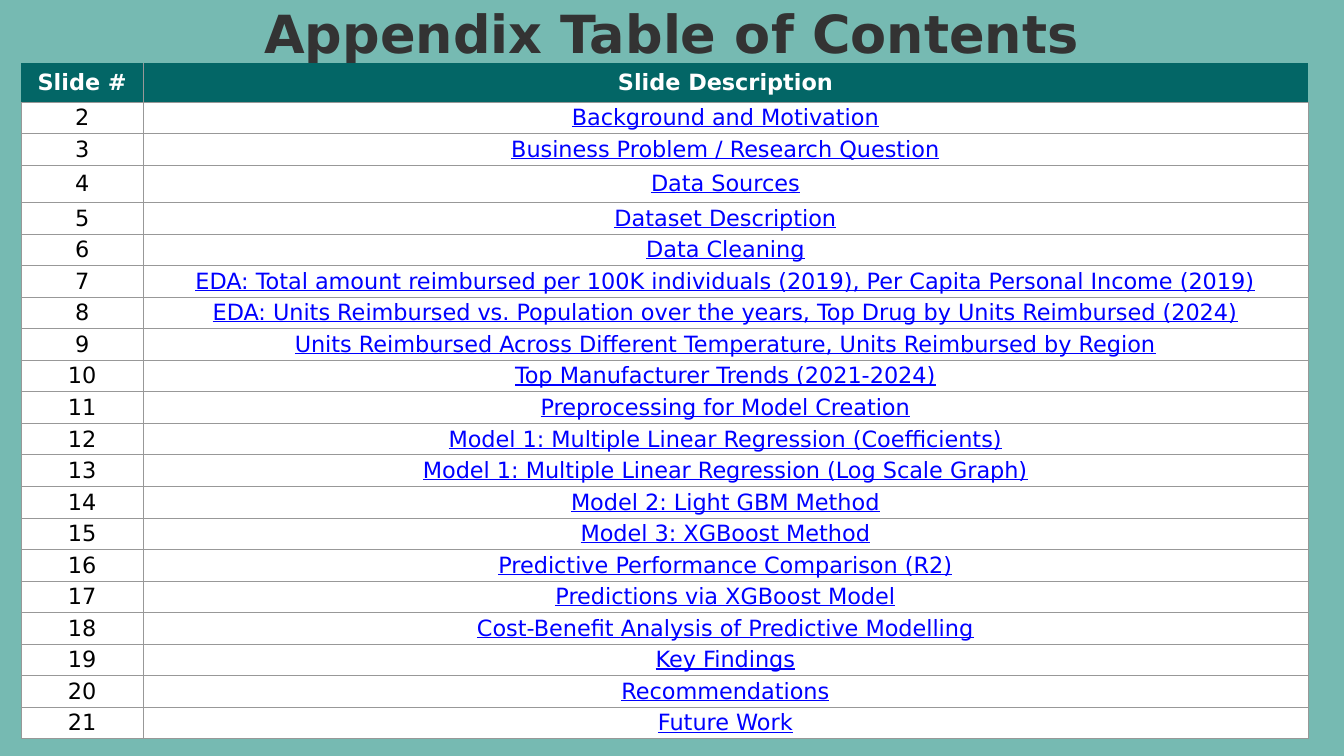
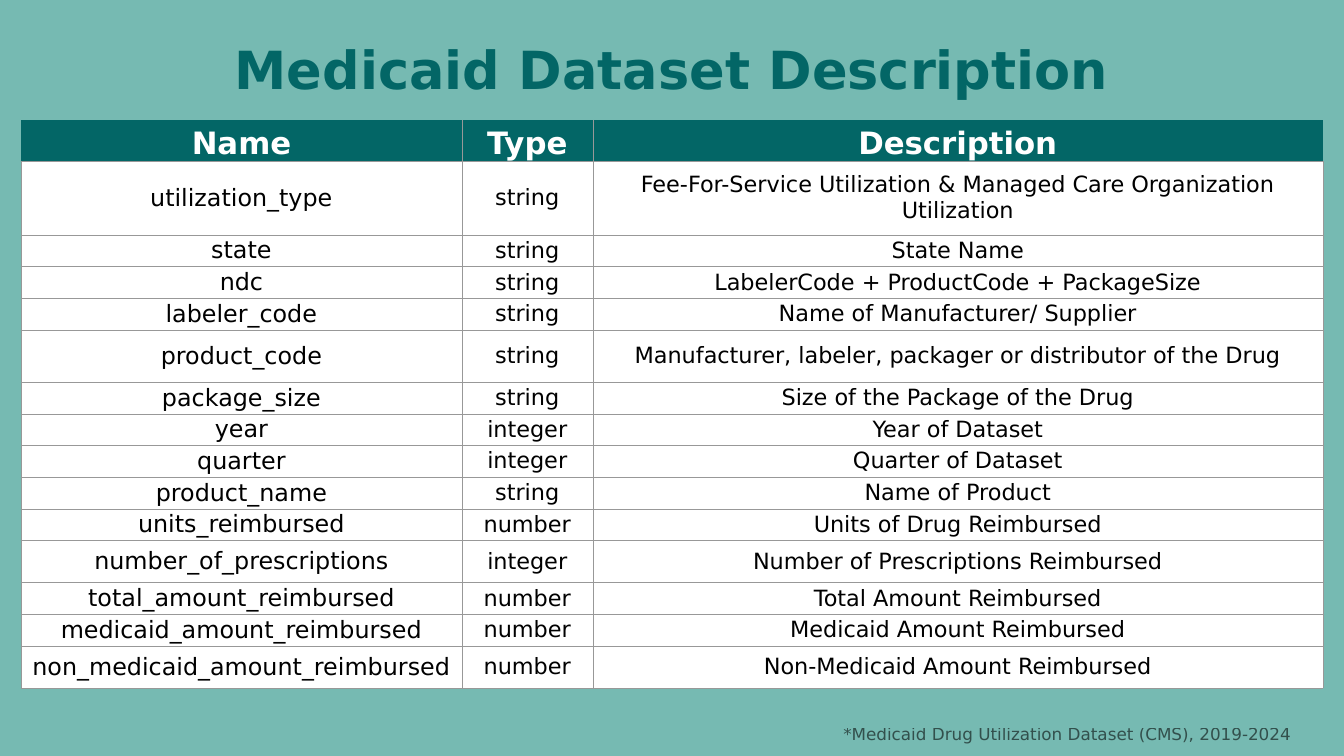
import pptx
import pptx.util
import pptx.dml.color
import pptx.enum.text
import pptx.oxml.ns
import lxml.etree

Inches, Pt = pptx.util.Inches, pptx.util.Pt
qn = pptx.oxml.ns.qn
ALIGN, ANCHOR = pptx.enum.text.PP_ALIGN, pptx.enum.text.MSO_ANCHOR

# Shared style
COLORS = {"background": "76BAB2", "header": "036666", "dark": "333333", "link": "0000FF",
          "border": "989898", "white": "FFFFFF", "black": "000000"}
FONT = "DejaVu Sans"
SLIDE_W, SLIDE_H = 13.33, 7.5
TABLE_LEFT = 0.21

# Content
FIRST_CONTENTS_SLIDE = 2
CONTENTS_HEADER = ("Slide #", "Slide Description")
CONTENTS = [
    "Background and Motivation",
    "Business Problem / Research Question",
    "Data Sources",
    "Dataset Description",
    "Data Cleaning",
    "EDA: Total amount reimbursed per 100K individuals (2019), Per Capita Personal Income (2019)",
    "EDA: Units Reimbursed vs. Population over the years, Top Drug by Units Reimbursed (2024)",
    "Units Reimbursed Across Different Temperature, Units Reimbursed by Region",
    "Top Manufacturer Trends (2021-2024)",
    "Preprocessing for Model Creation",
    "Model 1: Multiple Linear Regression (Coefficients)",
    "Model 1: Multiple Linear Regression (Log Scale Graph)",
    "Model 2: Light GBM Method",
    "Model 3: XGBoost Method",
    "Predictive Performance Comparison (R2)",
    "Predictions via XGBoost Model",
    "Cost-Benefit Analysis of Predictive Modelling",
    "Key Findings",
    "Recommendations",
    "Future Work",
]

FIELDS_HEADER = ("Name", "Type", "Description")
FIELDS = [
    ("utilization_type", "string",
     "Fee-For-Service Utilization & Managed Care Organization Utilization"),
    ("state", "string", "State Name"),
    ("ndc", "string", "LabelerCode + ProductCode + PackageSize"),
    ("labeler_code", "string", "Name of Manufacturer/ Supplier"),
    ("product_code", "string", "Manufacturer, labeler, packager or distributor of the Drug"),
    ("package_size", "string", "Size of the Package of the Drug"),
    ("year", "integer", "Year of Dataset"),
    ("quarter", "integer", "Quarter of Dataset"),
    ("product_name", "string", "Name of Product"),
    ("units_reimbursed", "number", "Units of Drug Reimbursed"),
    ("number_of_prescriptions", "integer", "Number of Prescriptions Reimbursed"),
    ("total_amount_reimbursed", "number", "Total Amount Reimbursed"),
    ("medicaid_amount_reimbursed", "number", "Medicaid Amount Reimbursed"),
    ("non_medicaid_amount_reimbursed", "number", "Non-Medicaid Amount Reimbursed"),
]
FOOTNOTE = "*Medicaid Drug Utilization Dataset (CMS), 2019-2024"


def rgb(name):
    return pptx.dml.color.RGBColor.from_string(COLORS[name])


def write(frame, text, size, color, bold=False, underline=False, align=ALIGN.CENTER,
          spacing=None, opacity=None):
    """Put one formatted paragraph into a text frame."""
    frame.word_wrap = True
    paragraph = frame.paragraphs[0]
    paragraph.alignment = align
    if spacing:
        paragraph.line_spacing = Pt(spacing)
    run = paragraph.add_run()
    run.text = text
    font = run.font
    font.name, font.size, font.bold, font.underline = FONT, Pt(size), bold, underline
    font.color.rgb = rgb(color)
    if opacity:
        for color_node in run._r.iter(qn("a:srgbClr")):
            lxml.etree.SubElement(color_node, qn("a:alpha"), val=str(opacity * 1000))


def add_text(slide, text, left, top, width, height, **style):
    frame = slide.shapes.add_textbox(*map(Inches, (left, top, width, height))).text_frame
    frame.margin_left = frame.margin_top = frame.margin_right = frame.margin_bottom = 0
    write(frame, text, **style)


def add_slide(prs, title, top, color):
    slide = prs.slides.add_slide(prs.slide_layouts[6])
    slide.background.fill.solid()
    slide.background.fill.fore_color.rgb = rgb("background")
    add_text(slide, title, 0, top, SLIDE_W, 0.61, size=37.5, color=color, bold=True,
             spacing=43.6)
    return slide


def set_borders(cell, visible):
    """Draw the sides in visible (letters of LRTB) and clear the others."""
    properties = cell._tc.get_or_add_tcPr()
    for side in "LRTB":
        line = lxml.etree.SubElement(properties, qn("a:ln" + side), w=str(Pt(0.25)))
        if side in visible:
            fill = lxml.etree.SubElement(line, qn("a:solidFill"))
            lxml.etree.SubElement(fill, qn("a:srgbClr"), val=COLORS["border"])
        else:
            lxml.etree.SubElement(line, qn("a:noFill"))


def add_grid(slide, header, rows, top, height, widths, tall_rows, header_style, body_styles,
             header_anchor=ANCHOR.MIDDLE, inset=0):
    """Rows outside tall_rows (index: height) share the remaining height equally."""
    records = [header, *rows]
    last = len(header) - 1
    regular = (height - sum(tall_rows.values())) / (len(records) - len(tall_rows))
    table = slide.shapes.add_table(len(records), len(header), Inches(TABLE_LEFT), Inches(top),
                                   Inches(sum(widths)), Inches(height)).table
    table.first_row = table.horz_banding = False
    for column, width in zip(table.columns, widths):
        column.width = Inches(width)
    for r, record in enumerate(records):
        table.rows[r].height = Inches(tall_rows.get(r, regular))
        for c, text in enumerate(record):
            cell = table.cell(r, c)
            is_header = r == 0
            margin = 0 if is_header else Inches(inset)
            cell.margin_left = cell.margin_right = cell.margin_top = margin
            cell.margin_bottom = 0
            cell.vertical_anchor = header_anchor if is_header else ANCHOR.MIDDLE
            inner = ("L" if c > 0 else "") + ("R" if c < last else "")
            set_borders(cell, inner + "B" if is_header else "LRTB")
            cell.fill.solid()
            cell.fill.fore_color.rgb = rgb("header" if is_header else "white")
            write(cell.text_frame, text, **(header_style if is_header else body_styles[c]))


def main():
    prs = pptx.Presentation()
    prs.slide_width, prs.slide_height = Inches(SLIDE_W), Inches(SLIDE_H)
    plain = dict(size=16, color="black")

    # Appendix contents
    contents = add_slide(prs, "Appendix Table of Contents", 0.03, "dark")
    numbered = [(str(n), text) for n, text in enumerate(CONTENTS, FIRST_CONTENTS_SLIDE)]
    add_grid(contents, CONTENTS_HEADER, numbered, top=0.63, height=6.7, widths=(1.21, 11.55),
             tall_rows={0: 0.38, 3: 0.37}, inset=0.01,
             header_style=dict(size=16, color="white", bold=True),
             body_styles=(plain, dict(size=16, color="link", underline=True)))

    # Dataset fields
    dataset = add_slide(prs, "Medicaid Dataset Description", 0.39, "header")
    add_text(dataset, FOOTNOTE, 6.81, 7.19, 6, 0.19, size=12, color="black",
             align=ALIGN.RIGHT, spacing=14, opacity=56)
    add_grid(dataset, FIELDS_HEADER, FIELDS, top=1.19, height=5.64, widths=(4.37, 1.3, 7.24),
             tall_rows={0: 0.41, 1: 0.73, 5: 0.52, 11: 0.42, 14: 0.42},
             header_anchor=ANCHOR.BOTTOM,
             header_style=dict(size=22, color="white", bold=True),
             body_styles=(dict(size=17, color="black"), plain, plain))

    prs.save("out.pptx")


if __name__ == "__main__":
    main()
